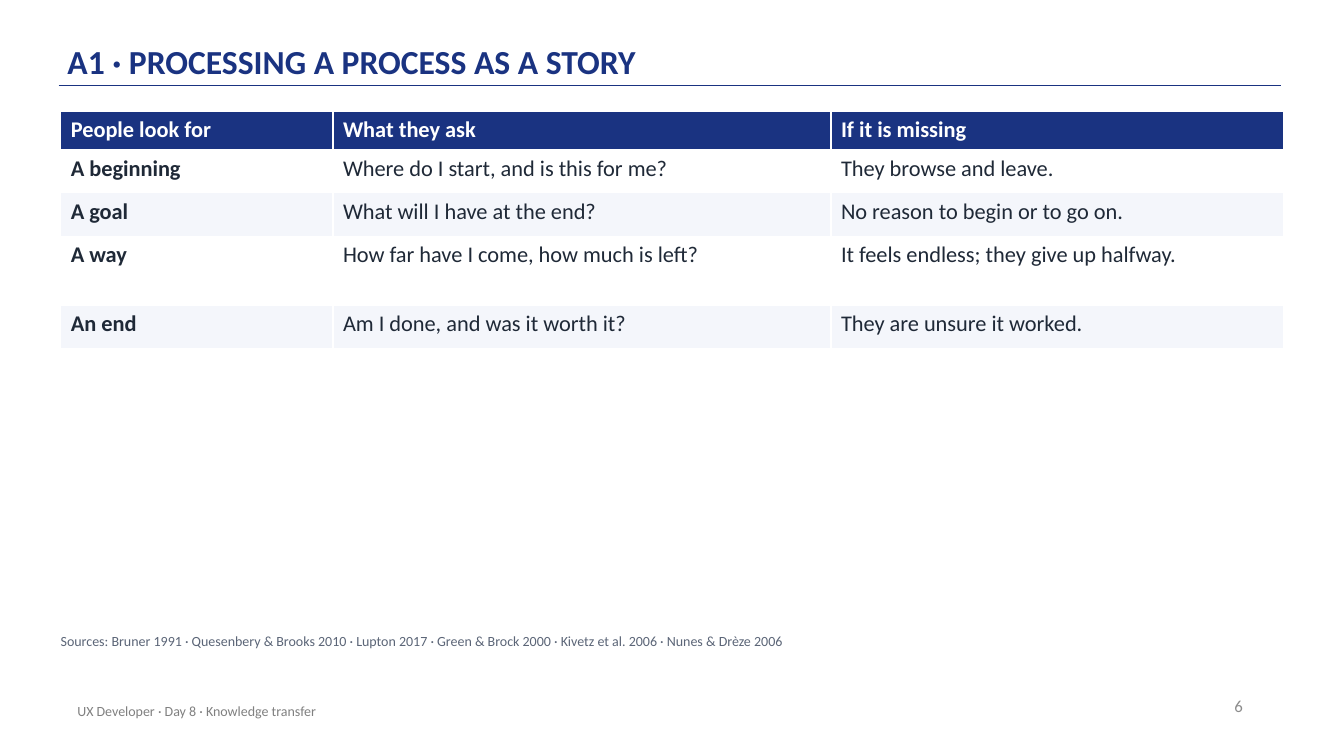
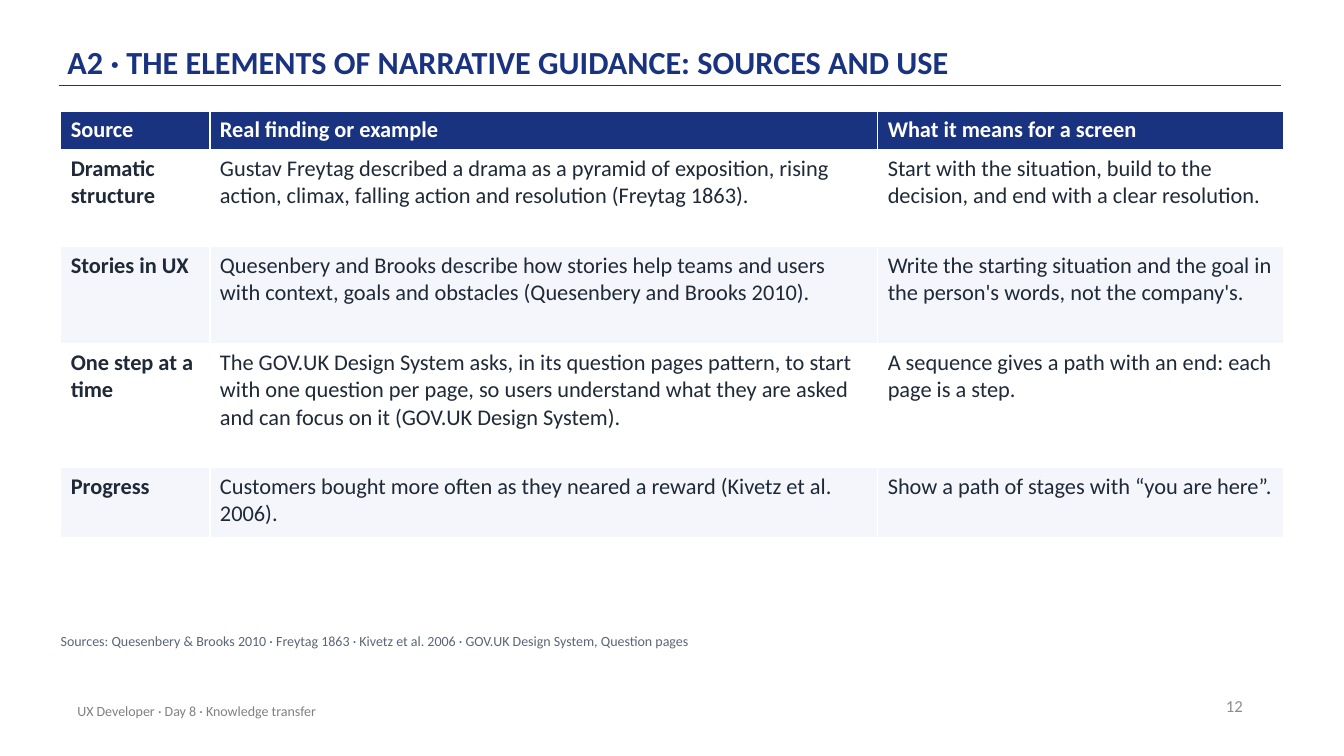
from pptx import Presentation
from pptx import util as u
from pptx.dml.color import RGBColor
from pptx.enum import shapes, text
from pptx.oxml.ns import qn
from lxml import etree

COLORS = {
    "navy": "1A3381",
    "ink": "1F2937",
    "white": "FFFFFF",
    "band": "F4F6FB",
    "source": "5B6577",
    "footer": "808080",
    "number": "8C8C8C",
}
FONT = "Calibri"
FOOTER = "UX Developer · Day 8 · Knowledge transfer"

SLIDES = [
    {
        "title": "A1 · PROCESSING A PROCESS AS A STORY",
        "title_size": 24,
        "number": "6",
        "cols": [6.86, 12.55, 11.4],
        "heights": [0.97, 1.09, 1.09, 1.75, 1.09],
        "rows": [
            ["People look for", "What they ask", "If it is missing"],
            ["A beginning", "Where do I start, and is this for me?", "They browse and leave."],
            ["A goal", "What will I have at the end?", "No reason to begin or to go on."],
            ["A way", "How far have I come, how much is left?",
             "It feels endless; they give up halfway."],
            ["An end", "Am I done, and was it worth it?", "They are unsure it worked."],
        ],
        "sources": "Sources: Bruner 1991 · Quesenbery & Brooks 2010 · Lupton 2017 · "
                   "Green & Brock 2000 · Kivetz et al. 2006 · Nunes & Drèze 2006",
    },
    {
        "title": "A2 · THE ELEMENTS OF NARRATIVE GUIDANCE: SOURCES AND USE",
        "title_size": 23,
        "number": "12",
        "cols": [3.76, 16.83, 10.22],
        "heights": [0.97, 2.45, 2.45, 3.12, 1.75],
        "rows": [
            ["Source", "Real finding or example", "What it means for a screen"],
            ["Dramatic structure",
             "Gustav Freytag described a drama as a pyramid of exposition, rising action, "
             "climax, falling action and resolution (Freytag 1863).",
             "Start with the situation, build to the decision, and end with a clear resolution."],
            ["Stories in UX",
             "Quesenbery and Brooks describe how stories help teams and users with context, "
             "goals and obstacles (Quesenbery and Brooks 2010).",
             "Write the starting situation and the goal in the person's words, "
             "not the company's."],
            ["One step at a time",
             "The GOV.UK Design System asks, in its question pages pattern, to start with one "
             "question per page, so users understand what they are asked and can focus on it "
             "(GOV.UK Design System).",
             "A sequence gives a path with an end: each page is a step."],
            ["Progress",
             "Customers bought more often as they neared a reward (Kivetz et al. 2006).",
             "Show a path of stages with “you are here”."],
        ],
        "sources": "Sources: Quesenbery & Brooks 2010 · Freytag 1863 · Kivetz et al. 2006 · "
                   "GOV.UK Design System, Question pages",
    },
]


def style(p, size, color, bold=False):
    p.font.name = FONT
    p.font.size = u.Pt(size)
    p.font.bold = bold
    p.font.color.rgb = RGBColor.from_string(COLORS[color])


def add_text(s, box, content, size, color, anchor=text.MSO_ANCHOR.MIDDLE):
    tf = s.shapes.add_textbox(*[u.Cm(v) for v in box]).text_frame
    tf.word_wrap = True
    tf.vertical_anchor = anchor
    p = tf.paragraphs[0]
    p.text = content
    style(p, size, color)
    return tf


prs = Presentation()
prs.slide_width, prs.slide_height = u.Cm(33.87), u.Cm(19.05)

for page in SLIDES:
    s = prs.slides.add_slide(prs.slide_layouts.get_by_name("Title Only"))

    rule = s.shapes.add_connector(
        shapes.MSO_CONNECTOR.STRAIGHT, u.Cm(1.48), u.Cm(2.16), u.Cm(32.28), u.Cm(2.16))
    rule.line.color.rgb = RGBColor.from_string(COLORS["navy"])
    rule.line.width = u.Pt(1)
    etree.SubElement(rule._element.spPr, qn("a:effectLst"))

    title = s.shapes.title
    title.left, title.top, title.width, title.height = [
        u.Cm(v) for v in (1.7, 0.3, 27.94, 1.83)]
    tf = title.text_frame
    tf.auto_size = text.MSO_AUTO_SIZE.NONE
    tf.word_wrap = True
    tf.vertical_anchor = text.MSO_ANCHOR.BOTTOM
    tf.margin_left = tf.margin_right = 0
    tf.margin_top = tf.margin_bottom = u.Cm(0.08)
    p = tf.paragraphs[0]
    p.text = page["title"]
    p.alignment = text.PP_ALIGN.LEFT
    p.line_spacing = 0.9
    style(p, page["title_size"], "navy", True)

    tf = add_text(s, (23.95, 17.27, 7.62, 1.02), page["number"], 12, "number")
    tf.paragraphs[0].alignment = text.PP_ALIGN.RIGHT
    add_text(s, (1.7, 17.4, 17.02, 1.02), FOOTER, 10, "footer")

    rows, cols, heights = page["rows"], page["cols"], page["heights"]
    table = s.shapes.add_table(
        len(rows), len(cols), u.Cm(1.53), u.Cm(2.8),
        u.Cm(sum(cols)), u.Cm(sum(heights))).table
    for column, width in zip(table.columns, cols):
        column.width = u.Cm(width)
    for i, (row, height) in enumerate(zip(rows, heights)):
        table.rows[i].height = u.Cm(height)
        fill = "navy" if i == 0 else "white" if i % 2 else "band"
        for j, content in enumerate(row):
            cell = table.cell(i, j)
            cell.fill.solid()
            cell.fill.fore_color.rgb = RGBColor.from_string(COLORS[fill])
            p = cell.text_frame.paragraphs[0]
            p.text = content
            style(p, 16, "ink" if i else "white", i == 0 or j == 0)

    tf = add_text(s, (1.53, 15.93, 30.73, 0.76), page["sources"], 10, "source",
                  text.MSO_ANCHOR.TOP)
    tf.margin_left = tf.margin_right = tf.margin_top = tf.margin_bottom = 0
    tf.auto_size = text.MSO_AUTO_SIZE.SHAPE_TO_FIT_TEXT
    tf.paragraphs[0].space_after = u.Pt(6)

prs.save("out.pptx")
